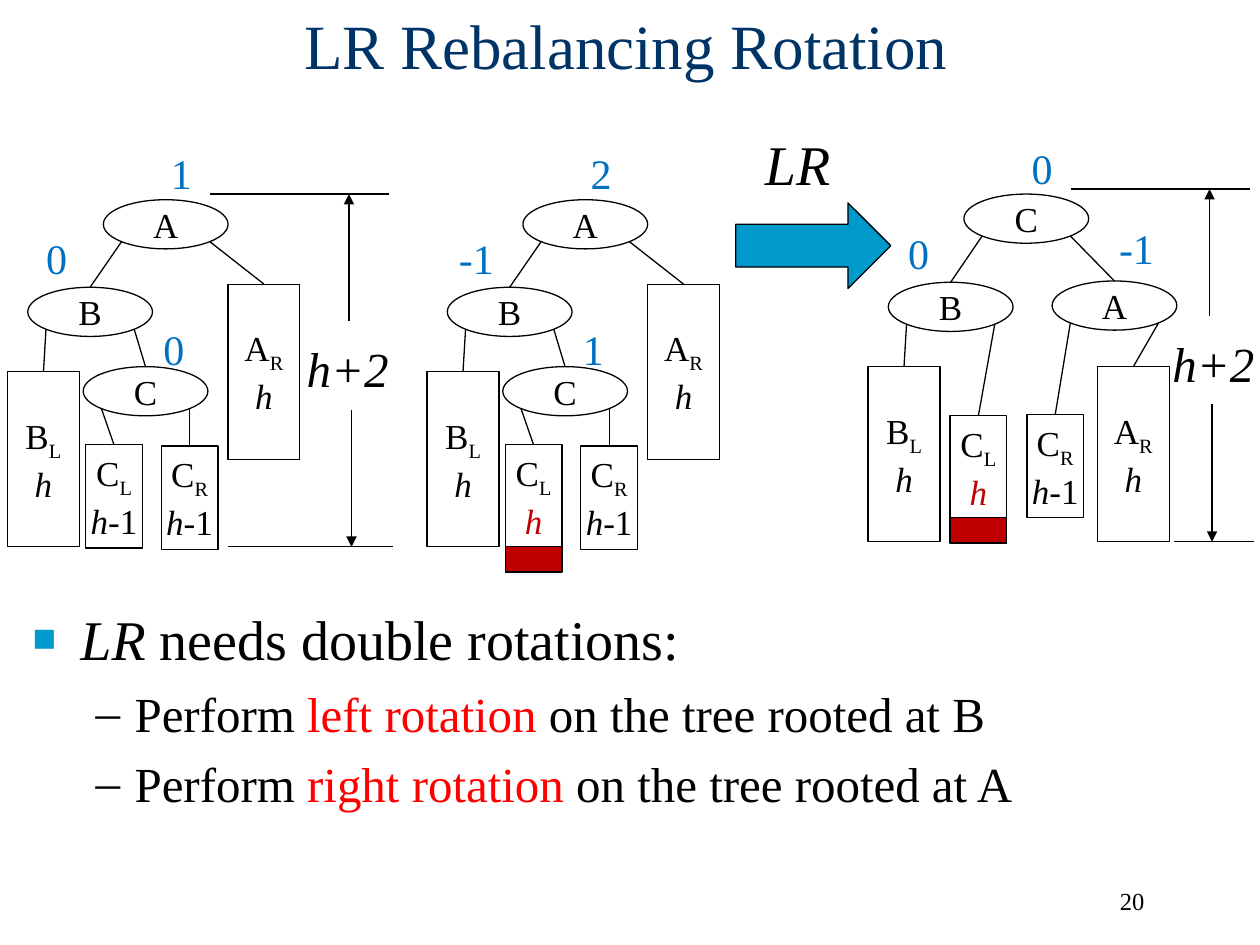
"""Build the LR rebalancing rotation slide."""
import math

import pptx
import pptx.dml.color
import pptx.enum.shapes
import pptx.enum.text
import pptx.oxml
import pptx.oxml.ns
import pptx.util

COLORS = {"black": "000000", "title": "003366", "balance": "0070C0", "accent": "0099CC",
          "added": "C00000", "highlight": "FF0000"}
SHAPES = pptx.enum.shapes.MSO_SHAPE
ALIGN = pptx.enum.text.PP_ALIGN
MIDDLE = pptx.enum.text.MSO_ANCHOR.MIDDLE
FIT = pptx.enum.text.MSO_AUTO_SIZE.SHAPE_TO_FIT_TEXT
NODE, WIDE, THIN, BALANCE = (9.9, 3.9), (5.7, 13.9), (4.5, 8.2), (4.8, 5)


class SlideBuilder:
    """Hold the style and the current slide, measured on a grid of 100 columns by 75 rows."""

    def __init__(self, deck):
        self.font = "Times New Roman"
        self.line_width = pptx.util.Pt(0.75)
        self.column = deck.slide_width / 100
        self.row = deck.slide_height / 75
        self.page = deck.slides.add_slide(deck.slide_layouts[6])

    def place(self, left, top, width, height):
        return [round(value * unit) for value, unit in
                zip((left, top, width, height), (self.column, self.row) * 2)]

    def color(self, name):
        return pptx.dml.color.RGBColor.from_string(COLORS[name])

    def apply(self, target, formats):
        for name, value in formats.items():
            setattr(target, name, value)

    def element(self, parent, tag, **attributes):
        child = pptx.oxml.parse_xml(f"<{tag} {pptx.oxml.ns.nsdecls('a')}/>")
        for name, value in attributes.items():
            child.set(name, value)
        parent.append(child)

    def fill_para(self, para, spans, size, color="black", align=ALIGN.CENTER):
        para.alignment = align
        for text, formats in spans:
            span = para.add_run()
            span.text = text
            formats = dict(formats)
            baseline = formats.pop("baseline", None)
            tint = formats.pop("color", color)
            self.apply(span.font, {"name": self.font, "size": pptx.util.Pt(size), **formats})
            span.font.color.rgb = self.color(tint)
            if baseline:
                span._r.get_or_add_rPr().set("baseline", baseline)

    def text(self, spot, spans, size, color="black", align=ALIGN.CENTER, **frame):
        box = self.page.shapes.add_textbox(*self.place(*spot))
        self.apply(box.text_frame, {"word_wrap": True, **frame})
        self.fill_para(box.text_frame.paragraphs[0], spans, size, color, align)
        return box

    def shape(self, kind, spot, lines=(), fill=None):
        box = self.page.shapes.add_shape(kind, *self.place(*spot))
        box.shadow.inherit = False
        box.line.width = self.line_width
        box.line.color.rgb = self.color("black")
        if fill:
            box.fill.solid()
            box.fill.fore_color.rgb = self.color(fill)
        else:
            box.fill.background()
        self.apply(box.text_frame, {"word_wrap": False, "vertical_anchor": MIDDLE})
        for index, spans in enumerate(lines):
            para = box.text_frame.add_paragraph() if index else box.text_frame.paragraphs[0]
            self.fill_para(para, spans, 20)
        return box

    def line(self, start, end, arrow=False):
        line = self.page.shapes.add_connector(
            pptx.enum.shapes.MSO_CONNECTOR.STRAIGHT, *self.place(*start, *end))
        line.line.width = self.line_width
        line.line.color.rgb = self.color("black")
        if arrow:
            self.element(line.line._get_or_add_ln(), "a:tailEnd", type="triangle")
        self.element(line._element.spPr, "a:effectLst")
        return line

    def node(self, name, left, top):
        return self.shape(SHAPES.OVAL, (left, top, *NODE), [[(name, {})]])

    def subtree(self, name, size, left, top, less="", color="black"):
        title = [(name[0], {}), (name[1], {"baseline": "-25000"})]
        height = [("h", {"italic": True, "color": color})]
        if less:
            height.append((less, {}))
        return self.shape(SHAPES.RECTANGLE, (left, top, *size), [title, height])

    def added(self, left, top):
        self.shape(SHAPES.RECTANGLE, (left, top, THIN[0], 2), fill="added")

    def edges(self, parent, left_child, right_child):
        for side, child in ((-1, left_child), (1, right_child)):
            reach = math.sqrt(0.5) / 2
            start = ((parent.left + parent.width * (0.5 + side * reach)) / self.column,
                     (parent.top + parent.height * (0.5 + reach)) / self.row)
            self.line(start, start).end_connect(child, 0)

    def balance(self, value, left, top):
        self.text((left, top, *BALANCE), [(value, {})], 24, "balance", auto_size=FIT)

    def measure(self, left, top, foot, label_left):
        bottom = top + 28
        self.line((left, top), (left + 14.2, top))
        self.line((foot, bottom), (left + 14.5, bottom))
        self.line((left + 11.2, top + 17.1), (left + 11.2, bottom), arrow=True)
        self.line((left + 11, top + 10.1), (left + 11, top), arrow=True)
        self.text((label_left, top + 11, 8.6, 5.7), [("h+2", {"italic": True})], 28,
                  word_wrap=False, auto_size=FIT)

    def unbalanced_tree(self, offset, balances, grown):
        root, inner, pivot = (self.node(name, offset + left, top) for name, left, top in
                              (("A", 8.2, 15.85), ("B", 2.2, 22.8), ("C", 6.6, 29.1)))
        right = self.subtree("AR", WIDE, offset + 18.1, 22.55)
        left = self.subtree("BL", WIDE, offset + 0.6, 29.5)
        low = self.subtree("CL", THIN, offset + 6.8, 35.3, "" if grown else "-1",
                           "added" if grown else "black")
        high = self.subtree("CR", THIN, offset + 12.8, 35.4, "-1")
        if grown:
            self.added(offset + 6.8, 43.4)
        self.edges(root, inner, right)
        self.edges(inner, left, pivot)
        self.edges(pivot, low, high)
        for value, x, y in zip(balances, (12, 2.1, 11.4), (11.2, 18, 25.2)):
            self.balance(value, offset + x, y)

    def balanced_tree(self):
        root, left, right = (self.node(*spot) for spot in
                             (("C", 76.5, 15.4), ("B", 70.5, 22.4), ("A", 83.5, 22.3)))
        self.edges(root, left, right)
        self.edges(left, self.subtree("BL", WIDE, 68.9, 29.1),
                   self.subtree("CL", THIN, 75.4, 33, color="added"))
        self.edges(right, self.subtree("CR", THIN, 81.5, 32.9, "-1"),
                   self.subtree("AR", WIDE, 87.1, 29.1))
        self.added(75.4, 41.1)
        for spot in (("0", 80.3, 10.8), ("0", 70.5, 17.6), ("-1", 87.8, 17.2)):
            self.balance(*spot)

    def bullets(self, spot, items):
        frame = self.text(spot, [], 32).text_frame
        for index, (size, margin, indent, mark, spans) in enumerate(items):
            para = frame.add_paragraph() if index else frame.paragraphs[0]
            self.fill_para(para, spans, size, align=ALIGN.LEFT)
            para.space_before = pptx.util.Pt(6.5)
            settings = para._p.get_or_add_pPr()
            settings.set("marL", str(pptx.util.Inches(margin)))
            settings.set("indent", str(pptx.util.Inches(indent)))
            if mark == "■":
                self.element(settings, "a:buClr")
                self.element(settings[-1], "a:srgbClr", val=COLORS["accent"])
                self.element(settings, "a:buSzPct", val="70000")
            self.element(settings, "a:buFont", typeface=self.font)
            self.element(settings, "a:buChar", char=mark)


def step(rotation, root):
    return (28, 0.81, -0.31, "–", [
        ("Perform ", {}), (f"{rotation} rotation ", {"color": "highlight"}),
        (f"on the tree rooted at {root}", {})])


def main():
    deck = pptx.Presentation()
    deck.slide_width, deck.slide_height = pptx.util.Inches(10), pptx.util.Inches(7.5)
    page = SlideBuilder(deck)
    page.text((7.2, -2.7, 85, 12.5), [("LR Rebalancing Rotation", {})], 36, "title",
              vertical_anchor=MIDDLE)
    page.unbalanced_tree(0, ("1", "0", "0"), grown=False)
    page.measure(16.7, 15.4, 18.1, 23.3)
    page.unbalanced_tree(33.3, ("2", "-1", "1"), grown=True)
    page.shape(SHAPES.RIGHT_ARROW, (58.4, 16.1, 12.3, 6.8), fill="accent")
    page.text((59.7, 9.8, 7.2, 6.4), [("LR", {"italic": True})], 32,
              word_wrap=False, auto_size=FIT)
    page.balanced_tree()
    page.measure(85, 15, 93.2, 92)
    page.bullets((1.6, 47.5, 95.9, 26.5), [
        (32, 0.38, -0.38, "■", [("LR", {"italic": True}), (" needs double rotations:", {})]),
        step("left", "B"), step("right", "A")])
    page.text((71, 69.8, 20.8, 5), [("20", {})], 14, align=ALIGN.RIGHT)
    deck.save("out.pptx")


if __name__ == "__main__":
    main()
